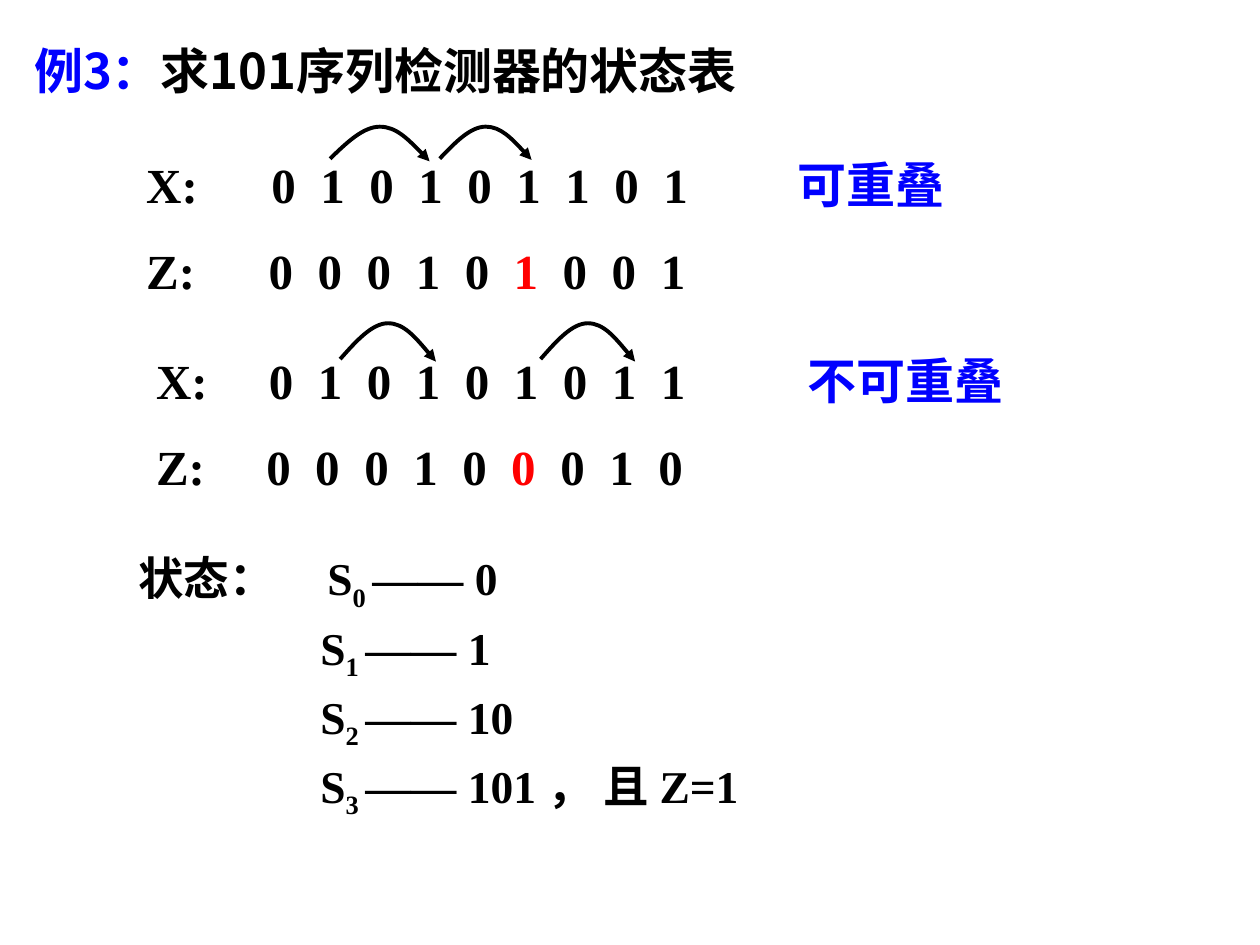
from lxml.etree import SubElement
from pptx import Presentation
from pptx.dml.color import RGBColor
from pptx.enum.text import MSO_ANCHOR, PP_ALIGN
from pptx.oxml.ns import qn
from pptx.util import Pt

BLACK, BLUE, RED = "000000", "0000FF", "FF0000"
SERIF, SANS, CJK = "Times New Roman", "Arial", "Noto Sans CJK SC"


def style(run, size, face, color):
    run.font.size, run.font.name, run.font.bold = Pt(size), face, True
    run.font.color.rgb = RGBColor.from_string(color)
    SubElement(run.font._element, qn("a:ea")).set("typeface", CJK)


def set_tabs(paragraph, stops):
    tabs = SubElement(paragraph._p.get_or_add_pPr(), qn("a:tabLst"))
    for stop in stops:
        SubElement(tabs, qn("a:tab"), pos=str(Pt(stop)), algn="l")


presentation = Presentation()
presentation.slide_width, presentation.slide_height = Pt(720), Pt(540)
slide = presentation.slides.add_slide(presentation.slide_layouts[5])

heading = slide.shapes.title
heading.left, heading.top, heading.width, heading.height = Pt(0), Pt(19.4), Pt(720), Pt(41)
heading.text_frame.margin_left = Pt(19.5)
heading.text_frame.vertical_anchor = MSO_ANCHOR.TOP
heading_line = heading.text_frame.paragraphs[0]
heading_line.alignment = PP_ALIGN.LEFT
heading_line.line_spacing = Pt(33.9)
for words, face, color in [("例3", CJK, BLUE), ("：", SANS, BLUE), ("求101序列检测器的状态表", CJK, BLACK)]:
    part = heading_line.add_run()
    part.text = words
    style(part, 28, face, color)

sequences = [
    ("X:", "010101101", None, 76.5, 85, 71.5),
    ("Z:", "000101001", 5, 76.5, 134, 70),
    ("X:", "010101011", None, 82.1, 197, 64.5),
    ("Z:", "000100010", 5, 82.1, 246.2, 63),
]
for signal, digits, marked, left, top, first_digit in sequences:
    row = slide.shapes.add_textbox(Pt(left), Pt(top), Pt(354), Pt(41)).text_frame
    row.word_wrap = True
    bits = row.paragraphs[0]
    bits.line_spacing = Pt(33.6)
    set_tabs(bits, [first_digit + 28 * i for i in range(len(digits))])
    if marked is None:
        pieces = [(signal + "\t" + "\t".join(digits), BLACK)]
    else:
        pieces = [
            (signal + "\t" + "\t".join(digits[:marked]) + "\t", BLACK),
            (digits[marked], RED),
            ("\t" + "\t".join(digits[marked + 1:]), BLACK),
        ]
    for words, color in pieces:
        part = bits.add_run()
        part.text = words
        style(part, 28, SERIF, color)

for words, left, top in [("可重叠", 448.6, 85), ("不可重叠", 454.3, 197)]:
    overlap = slide.shapes.add_textbox(Pt(left), Pt(top), Pt(186), Pt(41)).text_frame
    overlap.word_wrap = True
    overlap.text = words
    overlap.paragraphs[0].line_spacing = Pt(33.4)
    style(overlap.paragraphs[0].runs[0], 28, SANS, BLUE)

arcs = [
    (188.6, 245.5, 90.7, 72.4, 92.2),
    (251.3, 303.8, 90.7, 72.4, 91.4),
    (194.4, 249.1, 205.2, 184.7, 206.6),
    (308.9, 362.9, 205.2, 184.7, 206.6),
]
for start, end, start_y, peak, end_y in arcs:
    sixth = (end - start) / 6
    heights = [(start_y + peak) / 2, peak, peak, peak, (end_y + peak) / 2, end_y]
    controls = [(Pt(start + sixth * i), Pt(y)) for i, y in enumerate(heights, 1)]
    outline = slide.shapes.build_freeform(Pt(start), Pt(start_y))
    outline.add_line_segments(controls, close=False)
    arc = outline.convert_to_shape()
    trace = next(arc._element.iter(qn("a:path")))
    segments = trace.findall(qn("a:lnTo"))
    for half in (segments[:3], segments[3:]):
        curve = SubElement(trace, qn("a:cubicBezTo"))
        for segment in half:
            curve.append(segment[0])
            trace.remove(segment)
    arc.shadow.inherit = False
    arc.fill.background()
    arc.line.width = Pt(2.25)
    arc.line.color.rgb = RGBColor.from_string(BLACK)
    SubElement(arc._element.spPr.find(qn("a:ln")), qn("a:tailEnd"), type="triangle")

states = slide.shapes.add_textbox(Pt(72), Pt(315), Pt(452), Pt(148)).text_frame
states.word_wrap = True
for number, meaning in enumerate(["0", "1", "10", "101 ， 且 Z=1"]):
    state = states.add_paragraph() if number else states.paragraphs[0]
    state.line_spacing = Pt(31.5)
    if number:
        state.space_before = Pt(8)
        state._p.get_or_add_pPr().set("marL", str(Pt(104)))
    else:
        set_tabs(state, [108])
    for words in ["S" if number else "状态：\tS", f"{number} ", f"—— {meaning}"]:
        part = state.add_run()
        part.text = words
        style(part, 26, SERIF, BLACK)
    state.runs[1].font._element.set("baseline", "-25000")

presentation.save("out.pptx")
